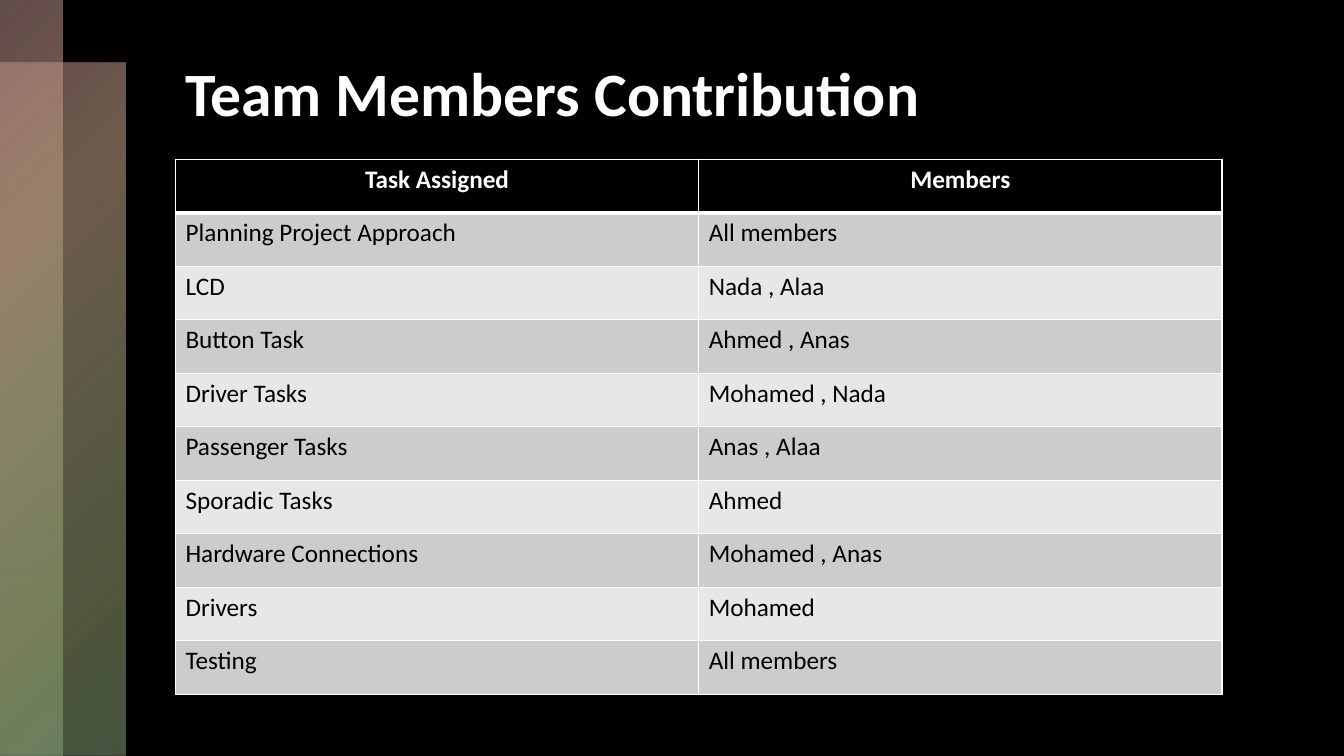
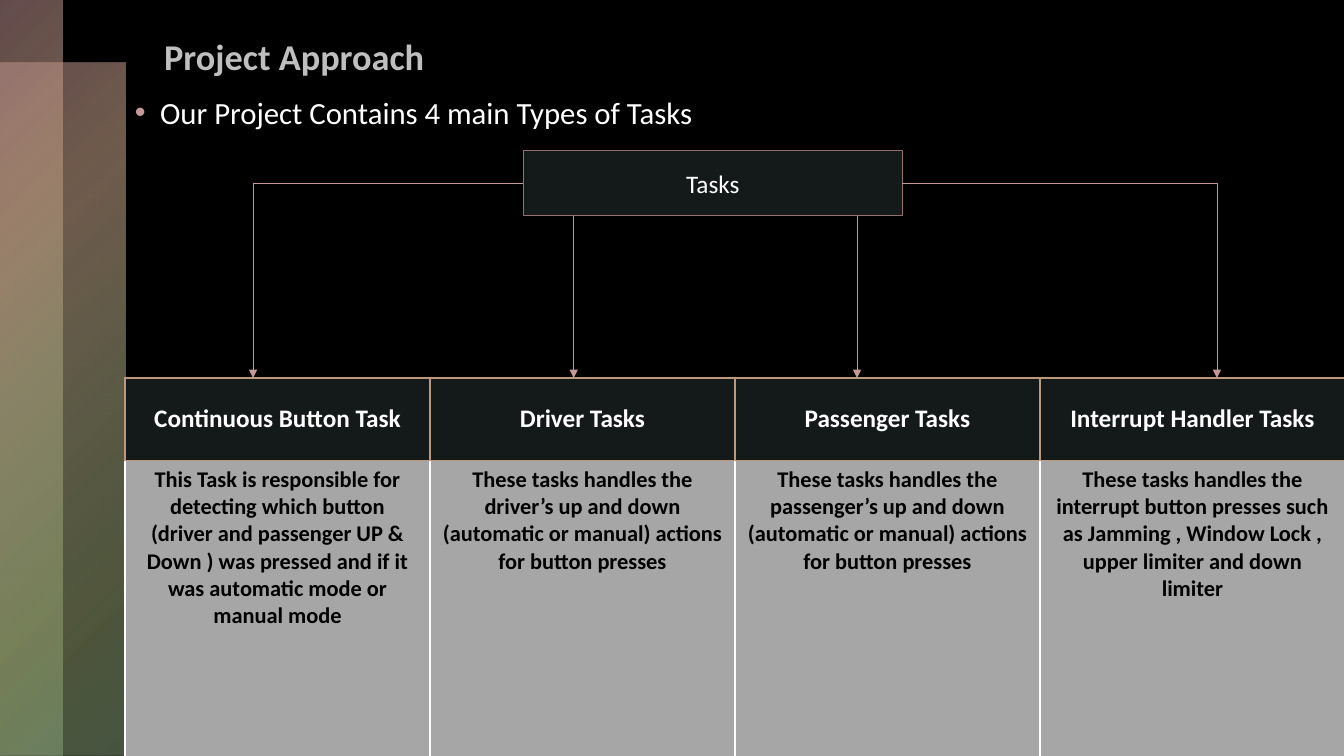
from lxml.etree import SubElement
from pptx import Presentation
from pptx.dml.color import RGBColor
from pptx.enum.shapes import MSO_CONNECTOR, MSO_SHAPE
from pptx.enum.text import MSO_ANCHOR, PP_ALIGN
from pptx.oxml import parse_xml
from pptx.oxml.ns import nsdecls, qn
from pptx.util import Pt

EMU_PER_PX = 9144
WIDTH, HEIGHT = 1333, 750
FONT = "Calibri"
BLACK, WHITE = "000000", "FFFFFF"
PANEL, ROSE, TAN = "141A1A", "C69896", "BA997F"
NO_STYLE = "{2D5ABB26-0587-4C30-8999-92F81FD0307C}"
BAND_STOPS = [(0, ROSE, 50), (25, TAN, 60), (50, "AAA480", 55),
              (81, "9BAA74", 50), (99, "8FAC82", 50)]
BANDS = [(0, 62, 124, 688), (0, 0, 62, 750)]
CONTRIBUTIONS = [
    ("Task Assigned", "Members"),
    ("Planning Project Approach", "All members"),
    ("LCD", "Nada , Alaa"),
    ("Button Task", "Ahmed , Anas"),
    ("Driver Tasks", "Mohamed , Nada"),
    ("Passenger Tasks", "Anas , Alaa"),
    ("Sporadic Tasks", "Ahmed"),
    ("Hardware Connections", "Mohamed , Anas"),
    ("Drivers", "Mohamed"),
    ("Testing", "All members"),
]
TASK_TYPES = [
    ("Continuous Button Task",
     "This Task is responsible for detecting which button\n"
     "(driver and passenger UP & Down ) was pressed and if it was automatic mode or manual mode"),
    ("Driver Tasks",
     "These tasks handles the driver’s up and down (automatic or manual) actions for button presses"),
    ("Passenger Tasks",
     "These tasks handles the passenger’s up and down (automatic or manual) actions for button presses"),
    ("Interrupt Handler Tasks",
     "These tasks handles the interrupt button presses such as Jamming , Window Lock , "
     "upper limiter and down limiter"),
]


def px(value):
    return value * EMU_PER_PX


def rgb(color):
    return RGBColor.from_string(color)


def write(frame, text, size, color=WHITE, bold=False, align=PP_ALIGN.LEFT,
          anchor=MSO_ANCHOR.TOP, spacing=None):
    frame.text = text
    frame.word_wrap = True
    frame.vertical_anchor = anchor
    for para in frame.paragraphs:
        para.alignment = align
        para.line_spacing = spacing
        para.font.name = FONT
        para.font.size = Pt(size)
        para.font.bold = bold
        para.font.color.rgb = rgb(color)


def add_text(page, area, text, size, **style):
    box = page.shapes.add_textbox(*map(px, area))
    write(box.text_frame, text, size, **style)
    return box


def add_bullet(para):
    para.space_before = Pt(12)
    properties = para._p.get_or_add_pPr()
    properties.set("marL", str(px(25)))
    properties.set("indent", str(-px(25)))
    color = SubElement(properties, qn("a:buClr"))
    SubElement(color, qn("a:srgbClr"), val=ROSE)
    SubElement(properties, qn("a:buFont"), typeface="Arial")
    SubElement(properties, qn("a:buChar"), char="•")


def add_rectangle(page, area):
    shape = page.shapes.add_shape(MSO_SHAPE.RECTANGLE, *map(px, area))
    shape.shadow.inherit = False
    return shape


def add_band(page, area):
    band = add_rectangle(page, area)
    band.line.fill.background()
    band.fill.background()
    stops = "".join(
        f'<a:gs pos="{place * 1000}"><a:srgbClr val="{color}">'
        f'<a:alpha val="{alpha * 1000}"/></a:srgbClr></a:gs>'
        for place, color, alpha in BAND_STOPS)
    gradient = parse_xml(
        f'<a:gradFill {nsdecls("a")}><a:gsLst>{stops}</a:gsLst><a:path path="circle">'
        '<a:fillToRect r="100000" b="100000"/></a:path></a:gradFill>')
    properties = band.element.spPr
    properties.replace(properties.find(qn("a:noFill")), gradient)


def add_page(deck):
    page = deck.slides.add_slide(deck.slide_layouts[6])
    for area in BANDS:
        add_band(page, area)
    return page


def set_borders(cell, color, widths):
    properties = cell._tc.get_or_add_tcPr()
    for index, (side, width) in enumerate(widths.items()):
        border = parse_xml(
            f'<a:ln{side} {nsdecls("a")} w="{Pt(width)}"><a:solidFill>'
            f'<a:srgbClr val="{color}"/></a:solidFill></a:ln{side}>')
        properties.insert(index, border)


def add_grid(page, area, rows, style_cell):
    left, top, width, height = map(px, area)
    frame = page.shapes.add_table(len(rows), len(rows[0]), left, top, width, height)
    for style in frame.element.iter(qn("a:tableStyleId")):
        style.text = NO_STYLE
    table = frame.table
    table.first_row = table.horz_banding = False
    for column in table.columns:
        column.width = width // len(table.columns)
    for row_index, texts in enumerate(rows):
        table.rows[row_index].height = height // len(rows)
        for column_index, text in enumerate(texts):
            style_cell(table.cell(row_index, column_index), text, row_index)


def fill_cell(cell, color):
    cell.fill.solid()
    cell.fill.fore_color.rgb = rgb(color)


def style_contribution(cell, text, row):
    header = row == 0
    fill_cell(cell, BLACK if header else ("E7E7E7", "CCCCCC")[row % 2])
    set_borders(cell, WHITE, {"L": 1, "R": 1, "T": 3 if row == 1 else 1, "B": 3 if header else 1})
    write(cell.text_frame, text, 18, WHITE if header else BLACK, header,
          PP_ALIGN.CENTER if header else PP_ALIGN.LEFT)


def style_task_name(cell, text, row):
    fill_cell(cell, PANEL)
    set_borders(cell, TAN, dict.fromkeys("LRTB", 1))
    write(cell.text_frame, text, 18, bold=True, align=PP_ALIGN.CENTER)
    cell.vertical_anchor = MSO_ANCHOR.MIDDLE


def style_task_detail(cell, text, row):
    fill_cell(cell, "A6A6A6")
    set_borders(cell, WHITE, {"L": 1, "R": 1})
    write(cell.text_frame, text, 16, BLACK, True, PP_ALIGN.CENTER)


def add_arrow(page, kind, start, end):
    arrow = page.shapes.add_connector(kind, *map(px, start + end))
    arrow.line.color.rgb = rgb(ROSE)
    arrow.line.width = Pt(0.5)
    properties = arrow.element.spPr
    SubElement(properties.find(qn("a:ln")), qn("a:tailEnd"), type="triangle")
    SubElement(properties, qn("a:effectLst"))
    return arrow


def add_elbow_arrow(page, box, side, start, end):
    arrow = add_arrow(page, MSO_CONNECTOR.ELBOW, start, end)
    arrow.begin_connect(box, side)
    adjustments = arrow.element.spPr.find(qn("a:prstGeom")).find(qn("a:avLst"))
    SubElement(adjustments, qn("a:gd"), name="adj1", fmla="val 100000")


def build_contribution(deck):
    page = add_page(deck)
    add_text(page, (174, 50, 1037, 170), "Team Members Contribution", 44, bold=True)
    add_grid(page, (174, 158, 1038, 531), CONTRIBUTIONS, style_contribution)


def build_approach(deck):
    page = add_page(deck)
    body = add_text(page, (124, 84, 1210, 666), "Our Project Contains 4 main Types of Tasks",
                    22, spacing=1.1)
    add_bullet(body.text_frame.paragraphs[0])
    add_text(page, (153, 34, 618, 50), "Project Approach", 25.9, color="BFBFBF",
             bold=True, spacing=0.9)

    left, top, width, height = 519, 149, 376, 65
    tasks = add_rectangle(page, (left, top, width, height))
    tasks.fill.solid()
    tasks.fill.fore_color.rgb = rgb(PANEL)
    tasks.line.color.rgb = rgb("92706F")
    tasks.line.width = Pt(1)
    write(tasks.text_frame, "Tasks", 18, align=PP_ALIGN.CENTER, anchor=MSO_ANCHOR.MIDDLE)

    names, details = zip(*TASK_TYPES)
    table_top = 375
    add_grid(page, (124, table_top, 1210, 82), [names], style_task_name)
    add_grid(page, (124, 457, 1210, 293), [details], style_task_detail)

    middle = top + height // 2
    for side, start_x, end_x in [(1, left, 251), (3, left + width, 1207)]:
        add_elbow_arrow(page, tasks, side, (start_x, middle), (end_x, table_top))
    for x in (569, 850):
        add_arrow(page, MSO_CONNECTOR.STRAIGHT, (x, top + height), (x, table_top))


def main():
    deck = Presentation()
    deck.slide_width, deck.slide_height = px(WIDTH), px(HEIGHT)
    background = deck.slide_master.background.fill
    background.solid()
    background.fore_color.rgb = rgb(BLACK)
    build_contribution(deck)
    build_approach(deck)
    deck.save("out.pptx")


if __name__ == "__main__":
    main()
